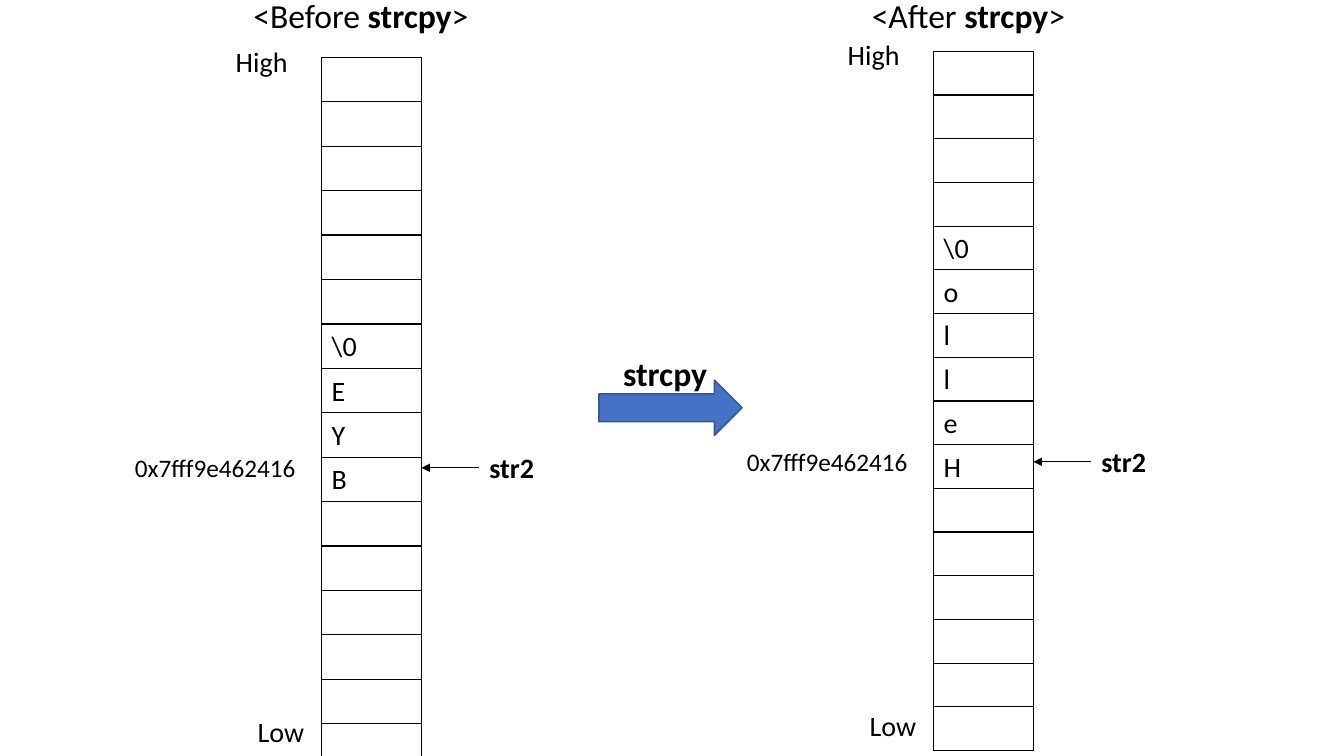
from lxml import etree
from pptx import Presentation
from pptx.dml.color import RGBColor
from pptx.enum.shapes import MSO_CONNECTOR, MSO_SHAPE
from pptx.enum.text import MSO_ANCHOR, PP_ALIGN
from pptx.oxml.ns import qn
from pptx.util import Inches, Pt

STRAIGHT = MSO_CONNECTOR.STRAIGHT
RIGHT_ARROW = MSO_SHAPE.RIGHT_ARROW
MIDDLE = MSO_ANCHOR.MIDDLE
LEFT, CENTER = PP_ALIGN.LEFT, PP_ALIGN.CENTER

BLACK, BLUE, DARK_BLUE = "000000", "4472C4", "325491"
FONT = "Calibri"
ROWS = 16
COL, ROW = 0.99, 6.93 / ROWS  # grid unit of the memory diagrams, in inches


def rgb(hex_color):
    """Turn a hex string into a colour."""
    return RGBColor.from_string(hex_color)


def write(tf, *runs, size=20, bold=(), align=LEFT):
    """Fill a text frame with runs; those listed in bold are set bold."""
    p = tf.paragraphs[0]
    p.alignment = align
    for text in runs:
        r = p.add_run()
        r.text = text
        r.font.name, r.font.size = FONT, Pt(size)
        r.font.bold = text in bold
        r.font.color.rgb = rgb(BLACK)


def add_text(slide, x, y, w, h, *runs, **fmt):
    """Add an unwrapped text box, in inches."""
    s = slide.shapes.add_textbox(*map(Inches, (x, y, w, h)))
    s.text_frame.word_wrap = False
    write(s.text_frame, *runs, **fmt)


def add_borders(cell):
    """Draw a thin black line on each side of a cell."""
    tc_pr = cell._tc.get_or_add_tcPr()
    for i, side in enumerate(("a:lnL", "a:lnR", "a:lnT", "a:lnB")):
        ln = etree.Element(qn(side), w=str(Pt(1)))
        fill = etree.SubElement(ln, qn("a:solidFill"))
        etree.SubElement(fill, qn("a:srgbClr"), val=BLACK)
        tc_pr.insert(i, ln)


def add_pointer(slide, x1, x2, y):
    """Add a horizontal line with an arrowhead at x2."""
    s = slide.shapes.add_connector(
        STRAIGHT, Inches(x1), Inches(y), Inches(x2), Inches(y))
    s.line.color.rgb, s.line.width = rgb(BLACK), Pt(0.5)
    etree.SubElement(s.line._get_or_add_ln(), qn("a:tailEnd"), type="triangle")
    etree.SubElement(s._element.spPr, qn("a:effectLst"))


def add_cells(slide, x, y, h, values):
    """Add the memory column; values maps row numbers to characters."""
    frame = slide.shapes.add_table(
        ROWS, 1, Inches(x), Inches(y), Inches(COL), Inches(h))
    table = frame.table
    table.first_row = table.horz_banding = False
    for i, row in enumerate(table.rows):
        row.height = Inches(h / ROWS)
        cell = row.cells[0]
        cell.fill.background()
        cell.vertical_anchor = MIDDLE
        cell.margin_top, cell.margin_bottom = Inches(0.05), Inches(0.03)
        add_borders(cell)
        if i in values:
            write(cell.text_frame, values[i])


def add_memory(slide, x, y, h, first_row, chars):
    """Add a memory column with its labels around the box at x, y."""
    add_cells(slide, x, y, h, dict(enumerate(chars, first_row)))
    labels = [
        ("High", -0.96, -0.42, 0.73, 0.44, {}),
        ("Low", -0.74, 14.94, 0.67, 0.44, {}),
        ("0x7fff9e462416", -1.97, 8.94, 1.82, 0.4, {"size": 18}),
        ("str2", 1.58, 8.89, 0.65, 0.44, {"bold": ["str2"]}),
    ]
    for text, col, row, w, height, fmt in labels:
        add_text(slide, x + col * COL, y + row * ROW, w, height, text, **fmt)
    add_pointer(slide, x + 1.58 * COL, x + COL, y + 9.4 * ROW)


def add_heading(slide, x, w, word):
    """Add the heading above a memory column."""
    add_text(slide, x, -0.1, w, 0.5, f"<{word} ", "strcpy", ">",
             size=24, bold=["strcpy"], align=CENTER)


def add_step(slide, x, y, w, h):
    """Add the block arrow and its caption."""
    s = slide.shapes.add_shape(RIGHT_ARROW, *map(Inches, (x, y, w, h)))
    s.shadow.inherit = False
    s.fill.solid()
    s.fill.fore_color.rgb = rgb(BLUE)
    s.line.color.rgb, s.line.width = rgb(DARK_BLUE), Pt(1)
    add_text(slide, x + 0.1 * w, y - 0.32, 1.04, 0.5, "strcpy",
             size=24, bold=["strcpy"])


prs = Presentation()
prs.slide_width, prs.slide_height = Inches(13.33), Inches(7.5)
slide = prs.slides.add_slide(prs.slide_layouts[6])
add_memory(slide, 3.19, 0.57, 7.05, 6, ["\\0", *"EYB"])
add_heading(slide, 2.4, 2.36, "Before")
add_memory(slide, 9.26, 0.51, 6.94, 4, ["\\0", *"olleH"])
add_heading(slide, 8.53, 2.15, "After")
add_step(slide, 5.94, 3.77, 1.42, 0.55)
prs.save("out.pptx")
